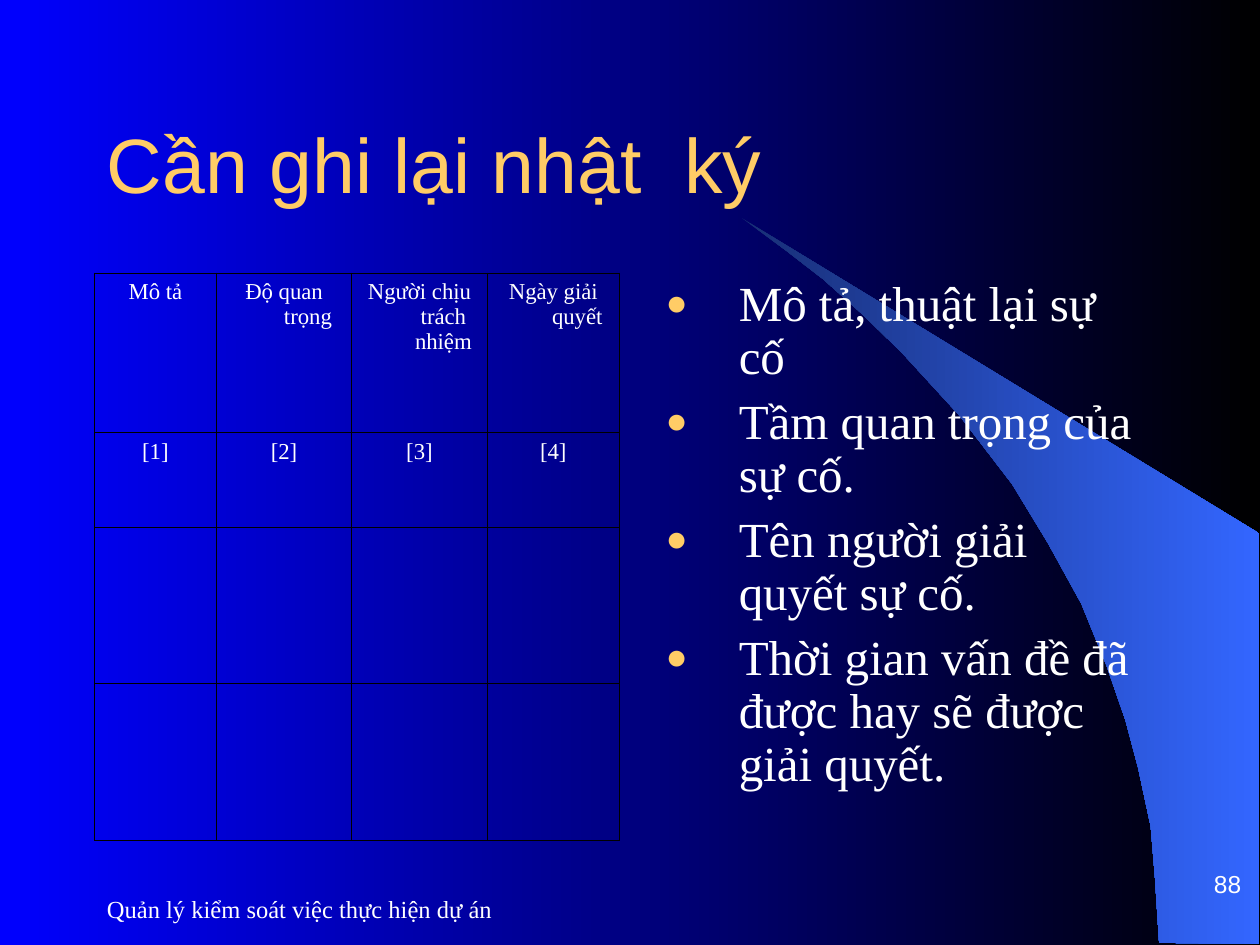
from lxml.etree import SubElement
from pptx import Presentation
from pptx.dml.color import RGBColor
from pptx.enum.text import MSO_ANCHOR as Anchor, PP_ALIGN as Align
from pptx.oxml.ns import qn
from pptx.util import Inches, Pt

WHITE, GOLD, BLACK = "FFFFFF", "FFCC66", "000000"
SERIF, SANS = "Times New Roman", "Arial"

TITLE = "Cần ghi lại nhật  ký"
LOG_ROWS = [
    ["Mô tả", "Độ quan trọng", "Người chịu trách nhiệm", "Ngày giải quyết"],
    ["[1]", "[2]", "[3]", "[4]"],
    [""] * 4,
    [""] * 4,
]
LOG_ITEMS = [
    "Mô tả, thuật lại sự cố",
    "Tầm quan trọng của sự cố.",
    "Tên người giải quyết sự cố.",
    "Thời gian vấn đề đã được hay sẽ được giải quyết.",
]
CRESCENT = [
    (110.4, 89.8), (119.9, 89.9), (119.9, 50.8), (70.7, 20.8), (74.9, 23.9),
    (78.4, 26.6), (82.2, 30), (85.9, 33.6), (91.4, 39.6), (96.4, 46.1),
    (99.8, 51.7), (103, 57.5), (105.4, 63.4), (107.2, 68.6), (108.4, 73.1),
    (109.6, 78.7), (110, 83.5),
]


def rgb(value):
    return RGBColor.from_string(value)


def unit(count):
    """Length of a number of grid steps, twelve to the inch."""
    return Inches(count / 12)


class SlideBuilder:
    """Draws on one slide with a grid of 120 columns and 90 rows."""

    def __init__(self, deck):
        self.slide = deck.slides.add_slide(deck.slide_layouts[6])
        self.shapes = self.slide.shapes

    def gradient(self, fill, start, end):
        fill.gradient()
        fill.gradient_angle = 0
        for stop, color in zip(fill.gradient_stops, (start, end)):
            stop.color.rgb = rgb(color)

    def background(self, start, end):
        self.gradient(self.slide.background.fill, start, end)

    def outline(self, points, start, end):
        corners = [(unit(x), unit(y)) for x, y in points]
        builder = self.shapes.build_freeform(*corners[0], scale=1.0)
        builder.add_line_segments(corners[1:], close=True)
        shape = builder.convert_to_shape()
        shape.shadow.inherit = False
        shape.line.fill.background()
        self.gradient(shape.fill, start, end)

    def style(self, paragraph, size, font, color, align=Align.LEFT):
        paragraph.alignment = align
        for run in paragraph.runs:
            run.font.size, run.font.name = Pt(size), font
            run.font.color.rgb = rgb(color)

    def hang(self, paragraph, inches):
        props = paragraph._p.get_or_add_pPr()
        props.set("marL", str(Inches(inches)))
        props.set("indent", str(-Inches(inches)))
        return props

    def frame(self, box, anchor, side=0.1, edge=0.05):
        frame = self.shapes.add_textbox(*map(unit, box)).text_frame
        frame.word_wrap = True
        frame.vertical_anchor = anchor
        frame.margin_left = frame.margin_right = Inches(side)
        frame.margin_top = frame.margin_bottom = Inches(edge)
        return frame

    def text(self, box, words, size, font, color=WHITE, align=Align.LEFT,
             anchor=Anchor.MIDDLE, edge=0.05):
        frame = self.frame(box, anchor, edge=edge)
        frame.text = words
        self.style(frame.paragraphs[0], size, font, color, align)

    def bullets(self, box, items):
        frame = self.frame(box, Anchor.TOP, side=0.2)
        frame.text = "\n".join(items)
        for index, paragraph in enumerate(frame.paragraphs):
            props = self.hang(paragraph, 0.58)
            tint = SubElement(props, qn("a:buClr"))
            SubElement(tint, qn("a:srgbClr"), val=GOLD)
            SubElement(props, qn("a:buSzPct"), val="75000")
            SubElement(props, qn("a:buFont"), typeface=SERIF)
            SubElement(props, qn("a:buChar"), char="●")
            paragraph.line_spacing = 0.9
            if index:
                paragraph.space_before = Pt(7)
            self.style(paragraph, 28, SERIF, WHITE)

    def borders(self, cell):
        props = cell._tc.get_or_add_tcPr()
        for side in "LRTB":
            line = SubElement(props, qn(f"a:ln{side}"), w=str(Pt(0.45)))
            solid = SubElement(line, qn("a:solidFill"))
            SubElement(solid, qn("a:srgbClr"), val=BLACK)

    def table(self, box, rows, widths, heights):
        table = self.shapes.add_table(
            len(rows), len(widths), *map(unit, box)).table
        table.first_row = table.horz_banding = False
        for column, width in zip(table.columns, widths):
            column.width = unit(width)
        for row, height, texts in zip(table.rows, heights, rows):
            row.height = unit(height)
            for cell, words in zip(row.cells, texts):
                self.borders(cell)
                cell.fill.background()
                if words:
                    cell.text = words
                    paragraph = cell.text_frame.paragraphs[0]
                    self.hang(paragraph, 0.38)
                    self.style(paragraph, 13, SERIF, WHITE, Align.CENTER)


def main():
    deck = Presentation()
    deck.slide_width, deck.slide_height = unit(120), unit(90)
    page = SlideBuilder(deck)
    page.background("0000FF", BLACK)
    page.outline(CRESCENT, "182F76", "3366FF")
    page.text((9, 83.5, 56, 6), "Quản lý kiểm soát việc thực hiện dự án",
              14, SERIF)
    page.text((94.4, 80.6, 25, 5), "88", 14, SANS, align=Align.RIGHT,
              anchor=Anchor.BOTTOM, edge=0)
    page.text((9, 8, 106, 15), TITLE, 44, SANS, GOLD)
    page.table((9, 26, 50, 54), LOG_ROWS,
               widths=(11.6, 12.9, 12.9, 12.6),
               heights=(15.2, 9, 14.9, 14.9))
    page.bullets((61, 26, 50, 54), LOG_ITEMS)
    deck.save("out.pptx")


if __name__ == "__main__":
    main()
